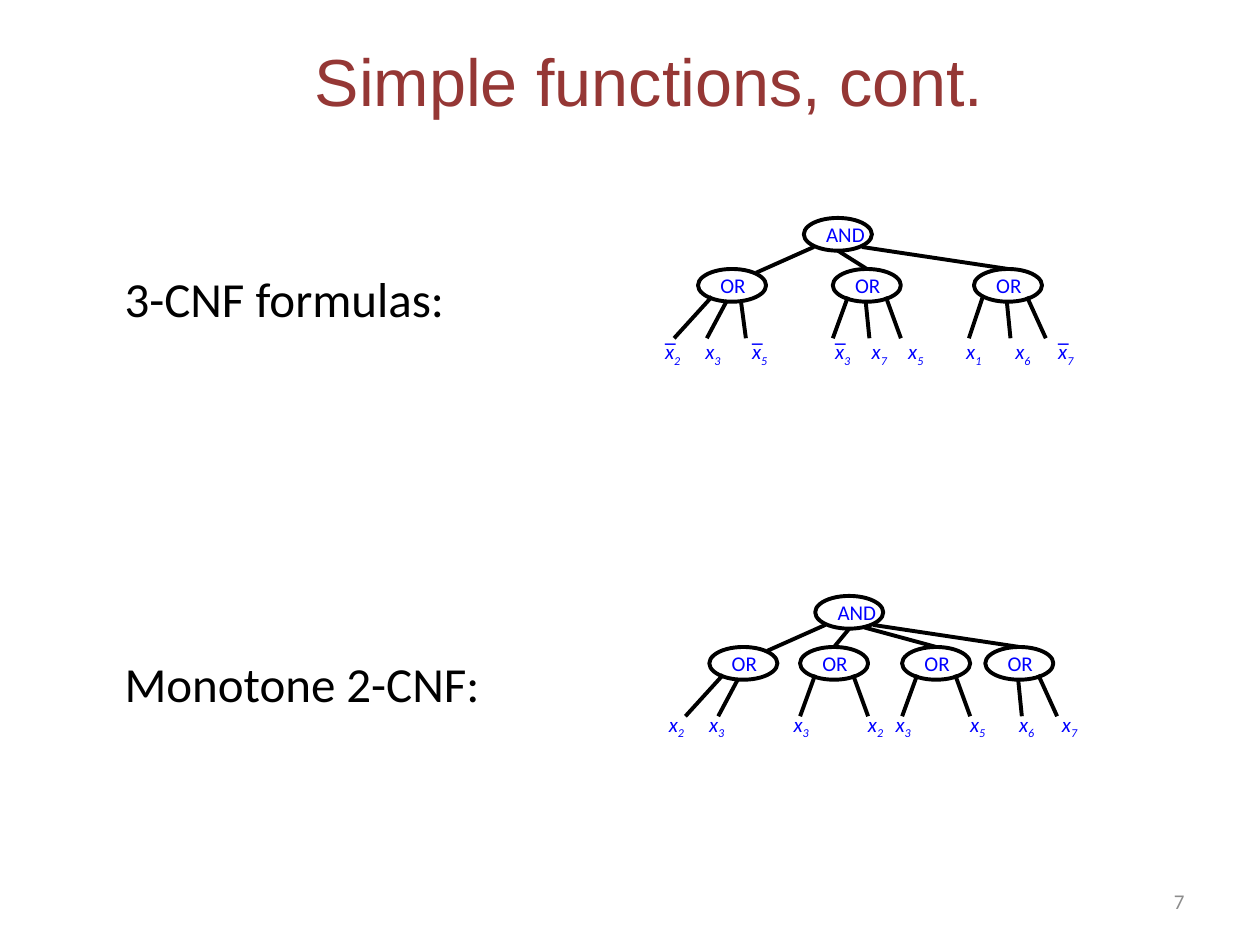
from dataclasses import dataclass

from lxml.etree import SubElement
from pptx import Presentation
from pptx.dml.color import RGBColor
from pptx.enum.shapes import MSO_CONNECTOR, MSO_SHAPE
from pptx.enum.text import MSO_ANCHOR as ANCHOR, MSO_AUTO_SIZE as FIT, PP_ALIGN as ALIGN
from pptx.oxml.ns import qn
from pptx.util import Inches, Pt

COLS, ROWS = 100, 75


@dataclass(frozen=True)
class Theme:
    title: str = "953735"
    ink: str = "000000"
    paper: str = "FFFFFF"
    label: str = "0000FF"
    muted: str = "8C8C8C"
    head_font: str = "Arial"
    body_font: str = "Calibri"
    bar_font: str = "Times New Roman"
    title_size: int = 38
    body_size: int = 28
    small_size: int = 12
    stroke: float = 2.25


GATE_W, GATE_H = 5.4, 2.6
GATE_DROP, LEAF_DROP, BAR_RISE = 4.05, 5.5, 1.4
LEFT_PORT, MID_PORT, INNER_PORT, RIGHT_PORT = (0.8, 2.3), (2.7, 2.6), (3.9, 2.5), (4.6, 2.3)
SHOULDER, TOP = (4.6, 0.3), (2.7, 0)

LEGS = {
    "far left": (1.1, 2.2, -1.9),
    "near left": (2.3, 2.5, 0.7),
    "near right": (3.4, 2.5, 3.8),
    "left": (1.2, 2.2, 0),
    "middle": (2.6, 2.5, 2.9),
    "right": (4.2, 2.2, 5.4),
    "steep left": (0.7, 2.2, -0.4),
    "wide right": (4.2, 2.2, 5.7),
}

THREE_CNF = [
    (55.4, LEFT_PORT, SHOULDER,
     [("far left", "2", 51.8, True), ("near left", "3", 55, False), ("near right", "5", 58.7, True)]),
    (66.1, MID_PORT, TOP,
     [("left", "3", 65.3, True), ("middle", "7", 68.2, False), ("right", "5", 71.1, False)]),
    (77.3, RIGHT_PORT, TOP,
     [("steep left", "1", 75.7, False), ("middle", "6", 79.6, False), ("wide right", "7", 83, True)]),
]
MONOTONE = [
    (56.3, LEFT_PORT, SHOULDER, [("far left", "2", 52.1, False), ("near left", "3", 55.3, False)]),
    (63.5, MID_PORT, TOP, [("left", "3", 62, False), ("right", "2", 67.9, False)]),
    (71.6, INNER_PORT, TOP, [("left", "3", 70.1, False), ("right", "5", 76, False)]),
    (78.2, RIGHT_PORT, TOP, [("middle", "6", 79.9, False), ("wide right", "7", 83.3, False)]),
]


class Deck:
    def __init__(self, theme):
        self.theme = theme
        self.prs = Presentation()
        self.prs.slide_width, self.prs.slide_height = Inches(10), Inches(7.5)
        self.slide = self.prs.slides.add_slide(self.prs.slide_layouts[6])

    def x(self, cols):
        return round(self.prs.slide_width * cols / COLS)

    def y(self, rows):
        return round(self.prs.slide_height * rows / ROWS)

    def box(self, col, row, w, h):
        return self.x(col), self.y(row), self.x(w), self.y(h)

    def style(self, r, size, color, font, bold=False, italic=False):
        r.font.size, r.font.name = Pt(size), font
        r.font.bold, r.font.italic = bold, italic
        r.font.color.rgb = RGBColor.from_string(color)

    def text(self, text, box, size, color, font=None, align=ALIGN.LEFT,
             anchor=ANCHOR.TOP, wrap=False, **look):
        tf = self.slide.shapes.add_textbox(*self.box(*box)).text_frame
        tf.text = text
        tf.word_wrap, tf.vertical_anchor = wrap, anchor
        tf.auto_size = FIT.NONE if wrap else FIT.SHAPE_TO_FIT_TEXT
        p = tf.paragraphs[0]
        p.alignment = align
        self.style(p.runs[0], size, color, font or self.theme.body_font, **look)
        return p

    def gate(self, name, col, row):
        t = self.theme
        sp = self.slide.shapes.add_shape(
            MSO_SHAPE.FLOWCHART_CONNECTOR, *self.box(col, row, GATE_W, GATE_H))
        sp.shadow.inherit = False
        sp.fill.solid()
        sp.fill.fore_color.rgb = RGBColor.from_string(t.paper)
        sp.line.color.rgb = RGBColor.from_string(t.ink)
        sp.line.width = Pt(t.stroke)
        tf = sp.text_frame
        tf.text = name
        tf.word_wrap, tf.vertical_anchor = False, ANCHOR.MIDDLE
        p = tf.paragraphs[0]
        p.alignment = ALIGN.LEFT
        self.style(p.runs[0], t.small_size, t.label, t.body_font)

    def line(self, x1, y1, x2, y2):
        ln = self.slide.shapes.add_connector(
            MSO_CONNECTOR.STRAIGHT, self.x(x1), self.y(y1), self.x(x2), self.y(y2))
        ln.line.color.rgb = RGBColor.from_string(self.theme.ink)
        ln.line.width = Pt(self.theme.stroke)
        SubElement(ln._element.spPr, qn("a:effectLst"))

    def variable(self, index, col, row, negated):
        t = self.theme
        p = self.text("x", (col, row, 3.5, 3), t.small_size, t.label, italic=True)
        r = p.add_run()
        r.text = index
        self.style(r, t.small_size, t.label, t.body_font, italic=True)
        r._r.get_or_add_rPr().set("baseline", "-25000")
        if negated:
            self.text("_", (col, row - BAR_RISE, 2.8, 3), t.small_size, t.label,
                      t.bar_font, bold=True)

    def tree(self, col, row, gates, label_drop):
        gate_row = row + GATE_DROP
        self.gate("AND", col, row)
        for gate_col, port, entry, leaves in gates:
            self.gate("OR", gate_col, gate_row)
            self.line(col + port[0], row + port[1], gate_col + entry[0], gate_row + entry[1])
            for leg, index, label_col, negated in leaves:
                dx, dy, foot = LEGS[leg]
                self.line(gate_col + dx, gate_row + dy, gate_col + foot, gate_row + LEAF_DROP)
                self.variable(index, label_col, row + label_drop, negated)


def main():
    t = Theme()
    deck = Deck(t)
    deck.text("Simple functions, cont.", (5, 0.1, 93.1, 12.5), t.title_size, t.title,
              t.head_font, ALIGN.CENTER, ANCHOR.MIDDLE, wrap=True)
    deck.text("3-CNF formulas:", (8.9, 20.8, 27.7, 5.7), t.body_size, t.ink)
    deck.text("Monotone 2-CNF:", (8.9, 51.4, 30.5, 5.7), t.body_size, t.ink)
    deck.tree(63.8, 17.3, THREE_CNF, 9.1)
    deck.tree(64.7, 47.3, MONOTONE, 8.7)
    deck.text("7", (71.7, 69.5, 23.3, 4), t.small_size, t.muted,
              align=ALIGN.RIGHT, anchor=ANCHOR.MIDDLE, wrap=True)
    deck.prs.save("out.pptx")


if __name__ == "__main__":
    main()
